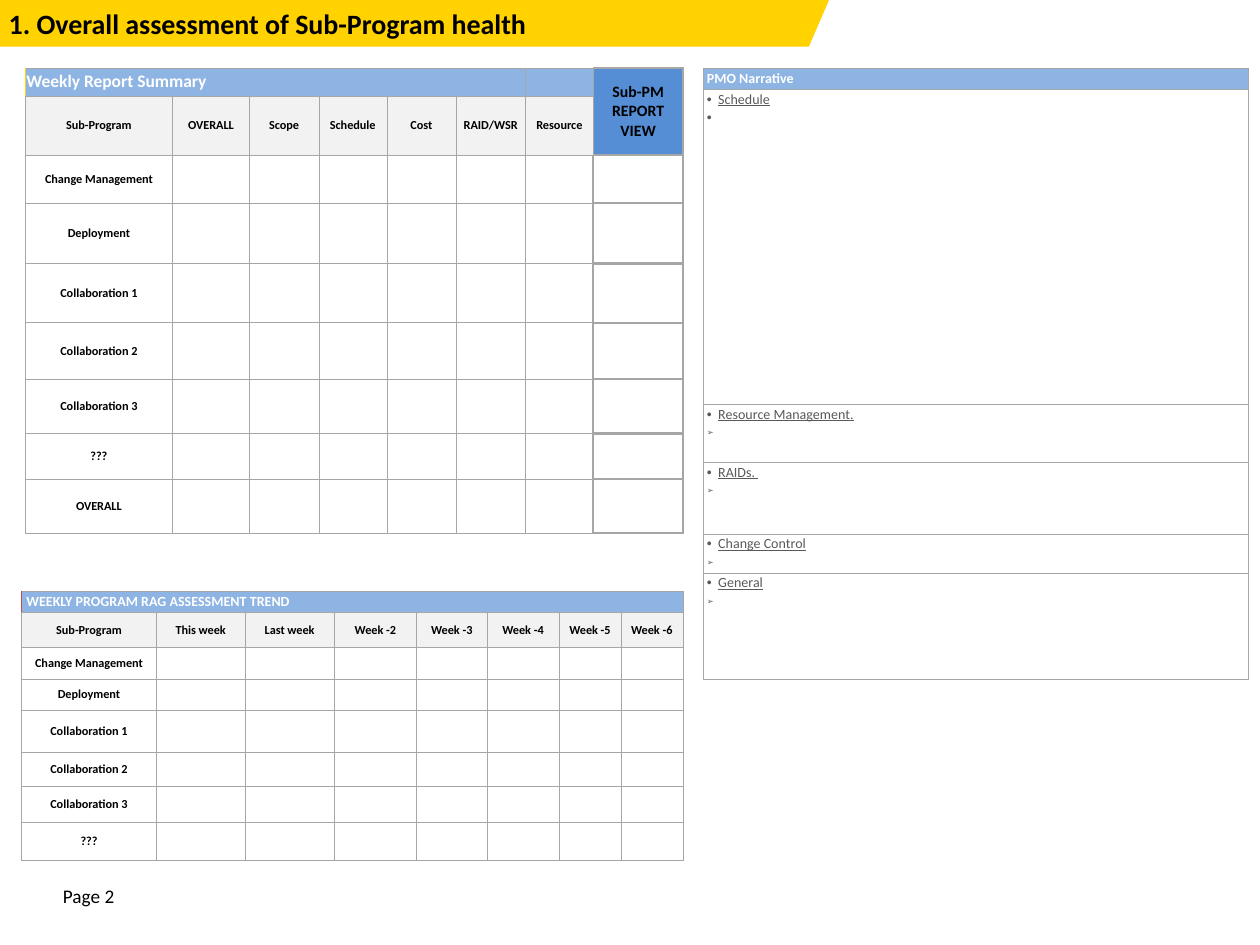
from pptx import Presentation
from pptx import util as u
from pptx.dml.color import RGBColor
from pptx.enum import text as t
from pptx.oxml.ns import qn
from lxml import etree

BLACK = RGBColor(0, 0, 0)
WHITE = RGBColor(255, 255, 255)
YELLOW = RGBColor(0xFF, 0xD2, 0x00)
RED = RGBColor(0xC0, 0x50, 0x4D)
SKY = RGBColor(0x8E, 0xB4, 0xE3)
BLUE = RGBColor(0x55, 0x8E, 0xD5)
PALE = RGBColor(0xF2, 0xF2, 0xF2)
GREY = RGBColor(0xA6, 0xA6, 0xA6)
DARK = RGBColor(0x59, 0x59, 0x59)

FONT = "Calibri"
PROGRAMS = ["Change Management", "Deployment", "Collaboration 1",
            "Collaboration 2", "Collaboration 3", "???"]
THIN, MEDIUM, THICK = 0.25, 0.75, 1.5


def write(para, content, size=7, color=BLACK, bold=True, underline=False,
          align=t.PP_ALIGN.LEFT, after=0):
    """Put one formatted run in a paragraph; an empty one only gets its size."""
    para.alignment = align
    para.space_after = u.Pt(after)
    if not content:
        end = etree.SubElement(para._p, qn("a:endParaRPr"))
        end.set("sz", str(size * 100))
        return
    span = para.add_run()
    span.text = content
    font = span.font
    font.name, font.size, font.bold = FONT, u.Pt(size), bold
    font.underline = underline
    font.color.rgb = color


def set_bullet(para, char, percent=100):
    props = para._p.get_or_add_pPr()
    props.set("marL", str(u.Inches(0.09)))
    props.set("indent", str(-u.Inches(0.09)))
    size = etree.SubElement(props, qn("a:buSzPct"))
    size.set("val", str(percent * 1000))
    etree.SubElement(props, qn("a:buFont")).set("typeface", "Arial")
    etree.SubElement(props, qn("a:buChar")).set("char", char)


def style_cell(cell, fill=WHITE, margins=(0.04, 0.01),
               anchor=t.MSO_ANCHOR.MIDDLE, **edges):
    """Fill, margins and borders; edges maps L, R, T, B to (colour, width)."""
    cell.margin_left = cell.margin_right = u.Inches(margins[0])
    cell.margin_top = cell.margin_bottom = u.Inches(margins[1])
    cell.vertical_anchor = anchor
    props = cell._tc.get_or_add_tcPr()
    for side in "LRTB":
        color, width = edges.get(side, (GREY, THIN))
        line = etree.SubElement(props, qn(f"a:ln{side}"), w=str(u.Pt(width)))
        solid = etree.SubElement(line, qn("a:solidFill"))
        etree.SubElement(solid, qn("a:srgbClr"), val=str(color))
    cell.fill.solid()
    cell.fill.fore_color.rgb = fill


def add_grid(page, box, columns, rows):
    """Table whose column and row shares are scaled to the box."""
    left, top, width, height = map(u.Inches, box)
    table = page.shapes.add_table(len(rows), len(columns),
                                  left, top, width, height).table
    table.first_row = table.horz_banding = False
    for column, share in zip(table.columns, columns):
        column.width = int(width * share / sum(columns))
    for row, share in zip(table.rows, rows):
        row.height = int(height * share / sum(rows))
    return table


def add_label(page, box, content, inset=(0, 0), **style):
    frame = page.shapes.add_textbox(*map(u.Inches, box)).text_frame
    frame.word_wrap = True
    frame.margin_left = frame.margin_right = u.Inches(inset[0])
    frame.margin_top = frame.margin_bottom = u.Inches(inset[1])
    write(frame.paragraphs[0], content, **style)


def add_title(page, box):
    left, top, width, height = map(u.Inches, box)
    slant = u.Inches(0.16)
    builder = page.shapes.build_freeform(left + width, top)
    builder.add_line_segments([(left + width - slant, top + height),
                               (left, top + height), (left, top)])
    banner = builder.convert_to_shape()
    banner.shadow.inherit = False
    banner.fill.solid()
    banner.fill.fore_color.rgb = YELLOW
    banner.line.fill.background()
    add_label(page, (box[0] - 0.03, box[1], 8.45, box[3]),
              "1. Overall assessment of Sub-Program health",
              inset=(0.1, 0.05), size=16)


def add_summary(page, box):
    heads = ["Sub-Program", "OVERALL", "Scope", "Schedule", "Cost",
             "RAID/WSR", "Resource"]
    names = PROGRAMS + ["OVERALL"]
    table = add_grid(page, box, [1.17, .61, .55, .54, .55, .55, .54, .71],
                     [.22, .46, .38, .48, .47, .45, .43, .36, .43])
    view = len(heads)
    tight = (0.01, 0.01)
    centre = t.PP_ALIGN.CENTER

    # Title row and the view heading beside it
    table.cell(0, 0).merge(table.cell(0, view - 2))
    table.cell(0, view).merge(table.cell(1, view))
    for col in range(view):
        edges = {"L": (YELLOW, 0.5)} if col == 0 else {}
        style_cell(table.cell(0, col), SKY, tight, **edges)
    write(table.cell(0, 0).text_frame.paragraphs[0],
          "Weekly Report Summary", size=10, color=WHITE)
    write(table.cell(0, view - 1).text_frame.paragraphs[0], "")
    for row in (0, 1):
        style_cell(table.cell(row, view), BLUE, tight, T=(GREY, MEDIUM),
                   R=(GREY, THICK), B=(GREY, THICK))
    write(table.cell(0, view).text_frame.paragraphs[0],
          "Sub-PM REPORT VIEW", size=9, align=centre)

    # Column heads
    for col, head in enumerate(heads):
        cell = table.cell(1, col)
        edges = {"R": (GREY, MEDIUM)} if col == view - 1 else {}
        style_cell(cell, PALE, tight, **edges)
        write(cell.text_frame.paragraphs[0], head, align=centre)

    # Programs, with a heavy frame round the view column
    for row, name in enumerate(names, 2):
        for col in range(view + 1):
            cell = table.cell(row, col)
            sides = {view - 1: "R", view: "LRTB"}.get(col, "")
            style_cell(cell, **{side: (GREY, THICK) for side in sides})
            write(cell.text_frame.paragraphs[0], "" if col else name,
                  align=centre)


def add_trend(page, box):
    heads = ["Sub-Program", "This week", "Last week"]
    heads += [f"Week -{week}" for week in range(2, 7)]
    table = add_grid(page, box, [1.07, .7, .71, .65, .56, .57, .49, .49],
                     [.17, .28, .25, .25, .33, .27, .29, .3])
    table.cell(0, 0).merge(table.cell(0, len(heads) - 1))
    for col in range(len(heads)):
        edges = {"L": (RED, 0.5)} if col == 0 else {}
        style_cell(table.cell(0, col), SKY, **edges)
    write(table.cell(0, 0).text_frame.paragraphs[0],
          "WEEKLY PROGRAM RAG ASSESSMENT TREND", size=8, color=WHITE)

    blanks = [""] * (len(heads) - 1)
    for row, values in enumerate([heads] + [[p] + blanks for p in PROGRAMS], 1):
        for col, value in enumerate(values):
            cell = table.cell(row, col)
            style_cell(cell, PALE if row == 1 else WHITE)
            write(cell.text_frame.paragraphs[0], value,
                  align=t.PP_ALIGN.CENTER, after=0.7)


def add_narrative(page, box):
    topics = ["Schedule", "Resource Management.", "RAIDs. ",
              "Change Control", "General"]
    table = add_grid(page, box, [1], [.17, 2.5, .46, .57, .31, .84])
    margins = (0.03, 0.01)
    style_cell(table.cell(0, 0), SKY, margins)
    write(table.cell(0, 0).text_frame.paragraphs[0], "PMO Narrative",
          size=8, color=WHITE)
    for row, topic in enumerate(topics, 1):
        cell = table.cell(row, 0)
        style_cell(cell, WHITE, margins, t.MSO_ANCHOR.TOP)
        frame = cell.text_frame
        head, entry = frame.paragraphs[0], frame.add_paragraph()
        style = dict(size=8, color=DARK, bold=False, after=0.8)
        write(head, topic, underline=True, **style)
        write(entry, " ", **style)  # the open bullet waiting for an entry
        set_bullet(head, "•")
        set_bullet(entry, *(("•",) if row == 1 else ("➢", 59)))


def main():
    deck = Presentation()
    deck.slide_width, deck.slide_height = u.Inches(10), u.Inches(7.5)
    page = deck.slides.add_slide(deck.slide_layouts[6])
    add_label(page, (0.5, 7.02, 0.73, 0.22), "Page 2", size=11, bold=False)
    add_title(page, (0, 0, 6.58, 0.37))
    add_trend(page, (0.17, 4.69, 5.25, 2.14))
    add_summary(page, (0.2, 0.54, 5.22, 3.68))
    add_narrative(page, (5.58, 0.54, 4.33, 4.85))
    deck.save("out.pptx")


if __name__ == "__main__":
    main()
